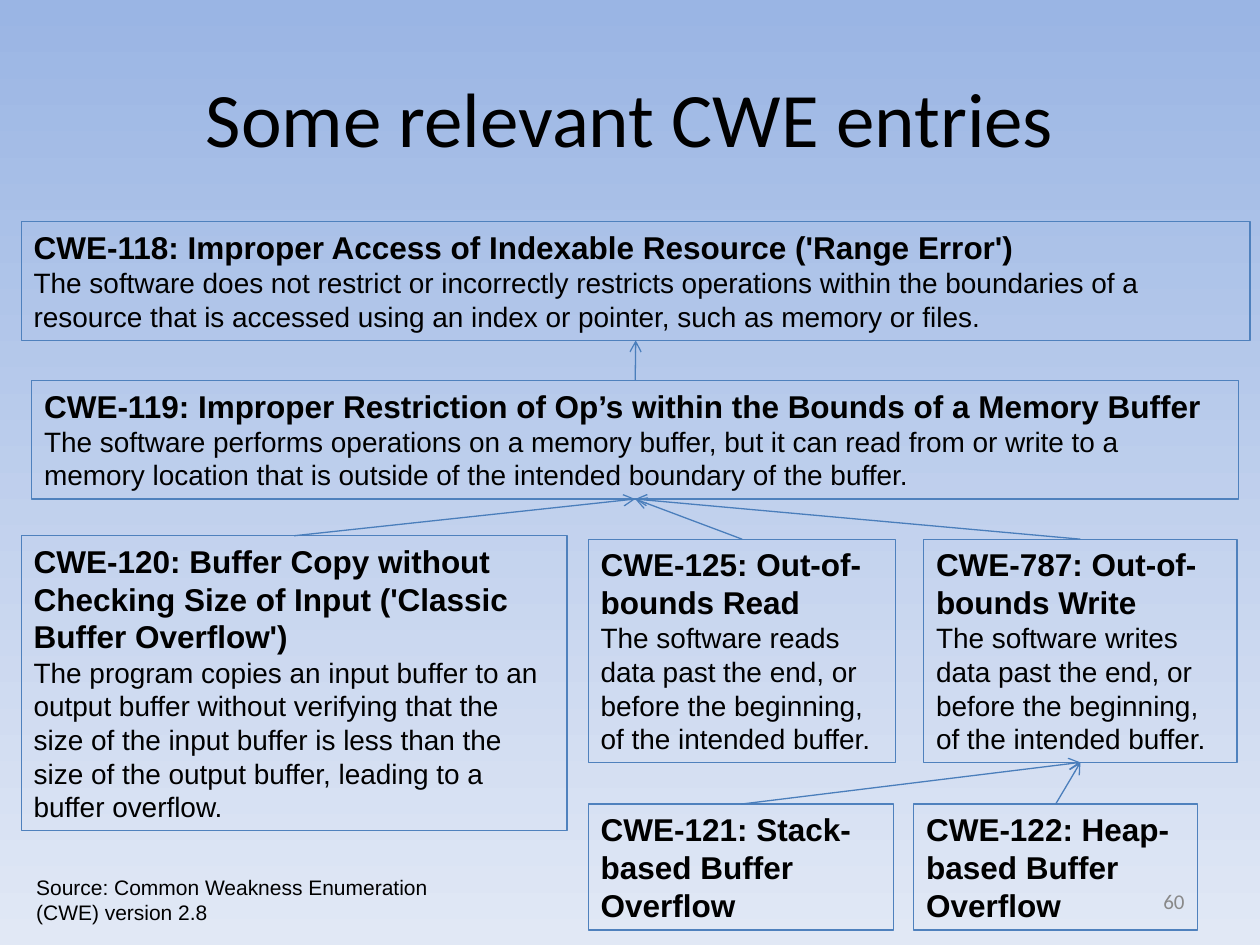
from lxml.etree import SubElement
from pptx import Presentation
from pptx.dml.color import RGBColor
from pptx.enum.shapes import MSO_CONNECTOR, MSO_SHAPE
from pptx.enum.text import MSO_ANCHOR, MSO_AUTO_SIZE, PP_ALIGN
from pptx.oxml.ns import qn
from pptx.util import Cm, Pt

BLACK = RGBColor(0x00, 0x00, 0x00)
GREY = RGBColor(0x89, 0x89, 0x89)
EDGE = RGBColor(0x4F, 0x81, 0xBD)
ARROW = RGBColor(0x4A, 0x7E, 0xBB)
SKY = RGBColor(0x9A, 0xB5, 0xE4)
PALE = RGBColor(0xE1, 0xE8, 0xF5)

# id: (left, top, width, height), name, details
ENTRIES = {
    118: ((0.43, 4.47, 24.77, 2.39),
          "Improper Access of Indexable Resource ('Range Error')",
          "The software does not restrict or incorrectly restricts operations "
          "within the boundaries of a resource that is accessed using an index "
          "or pointer, such as memory or files."),
    119: ((0.64, 7.67, 24.33, 2.39),
          "Improper Restriction of Op’s within the Bounds of a Memory Buffer",
          "The software performs operations on a memory buffer, but it can read "
          "from or write to a memory location that is outside of the intended "
          "boundary of the buffer."),
    120: ((0.43, 10.8, 11, 5.94),
          "Buffer Copy without Checking Size of Input ('Classic Buffer Overflow')",
          "The program copies an input buffer to an output buffer without "
          "verifying that the size of the input buffer is less than the size of "
          "the output buffer, leading to a buffer overflow."),
    125: ((11.86, 10.87, 6.2, 4.5), "Out-of-bounds Read",
          "The software reads data past the end, or before the beginning, "
          "of the intended buffer."),
    787: ((18.62, 10.87, 6.32, 4.5), "Out-of-bounds Write",
          "The software writes data past the end, or before the beginning, "
          "of the intended buffer."),
    122: ((18.42, 16.21, 5.72, 2.54), "Heap-based Buffer Overflow", None),
    121: ((11.86, 16.21, 6.15, 2.54), "Stack-based Buffer Overflow", None),
}
# child, parent
LINKS = [(120, 119), (125, 119), (787, 119), (119, 118), (121, 787), (122, 787)]


def paint_back(slide):
    fill = slide.background.fill
    fill.gradient()
    fill.gradient_angle = 270
    for stop, color in zip(fill.gradient_stops, (SKY, PALE)):
        stop.color.rgb = color


def style(para, size, font="Arial", color=BLACK, bold=False, align=PP_ALIGN.LEFT):
    para.alignment = align
    para.font.size = Pt(size)
    para.font.name = font
    para.font.bold = bold
    para.font.color.rgb = color


def add_label(slide, area, text, size, anchor=MSO_ANCHOR.TOP, **look):
    frame = slide.shapes.add_textbox(*map(Cm, area)).text_frame
    frame.word_wrap = True
    frame.vertical_anchor = anchor
    frame.text = text
    style(frame.paragraphs[0], size, **look)


def add_entry(slide, code, area, name, details):
    box = slide.shapes.add_shape(MSO_SHAPE.RECTANGLE, *map(Cm, area))
    box.shadow.inherit = False
    box.fill.background()
    box.line.color.rgb = EDGE
    box.line.width = Pt(0.75)
    frame = box.text_frame
    frame.word_wrap = True
    frame.auto_size = MSO_AUTO_SIZE.SHAPE_TO_FIT_TEXT
    frame.vertical_anchor = MSO_ANCHOR.TOP
    frame.text = f"CWE-{code}: {name}"
    style(frame.paragraphs[0], 18, bold=True)
    if details:
        para = frame.add_paragraph()
        para.text = details
        style(para, 16)
    return box


def add_link(slide, child, parent):
    """Arrow from the top middle of child to the bottom middle of parent."""
    link = slide.shapes.add_connector(MSO_CONNECTOR.STRAIGHT, 0, 0, 0, 0)
    link.begin_connect(child, 0)
    link.end_connect(parent, 2)
    link.line.color.rgb = ARROW
    link.line.width = Pt(0.75)
    SubElement(link.line._get_or_add_ln(), qn("a:tailEnd"), type="arrow")
    SubElement(link._element.spPr, qn("a:effectLst"))


def main():
    deck = Presentation()
    deck.slide_width, deck.slide_height = Cm(25.4), Cm(19.05)
    slide = deck.slides.add_slide(deck.slide_layouts[6])
    paint_back(slide)
    add_label(slide, (1.27, 0.76, 22.86, 3.18), "Some relevant CWE entries", 44,
              MSO_ANCHOR.MIDDLE, font="Calibri", align=PP_ALIGN.CENTER)
    add_label(slide, (18.21, 17.65, 5.92, 1.02), "60", 12, MSO_ANCHOR.MIDDLE,
              font="Calibri", color=GREY, align=PP_ALIGN.RIGHT)
    add_label(slide, (0.48, 17.5, 9.63, 1.27),
              "Source: Common Weakness Enumeration (CWE) version 2.8", 12)
    boxes = {code: add_entry(slide, code, *entry) for code, entry in ENTRIES.items()}
    for child, parent in LINKS:
        add_link(slide, boxes[child], boxes[parent])
    deck.save("out.pptx")


if __name__ == "__main__":
    main()
